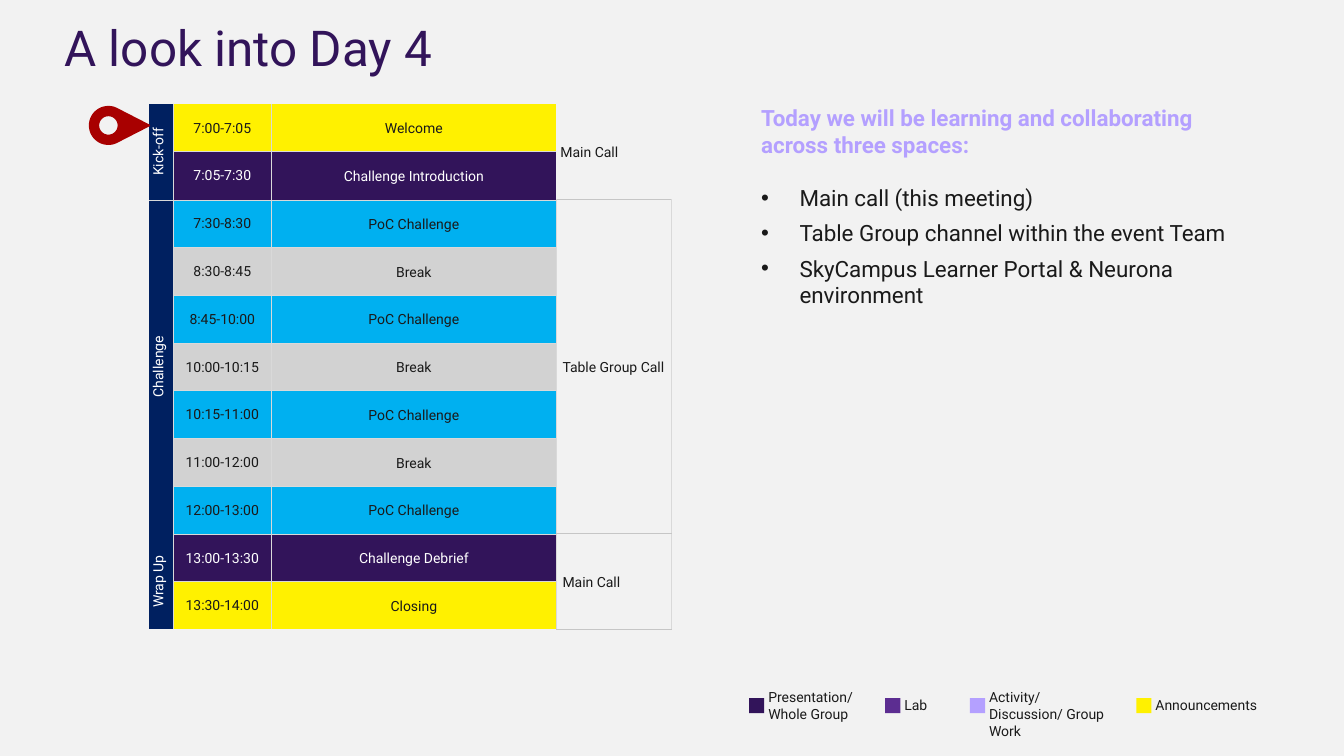
import math
from lxml import etree
from pptx import Presentation
from pptx import util as u
from pptx.dml.color import RGBColor
from pptx.enum import shapes, text
from pptx.oxml.ns import qn

COLORS = {"background": "F2F2F2", "purple": "32145A", "lab": "5C2D91", "lilac": "B4A0FF",
          "yellow": "FFF100", "navy": "002060", "blue": "00B0F0", "grey": "D2D2D2",
          "grid": "D9D9D9", "divider": "C6C6C6", "ink": "1A1A1A", "white": "FFFFFF",
          "red": "A80000"}
FONT = "Roboto"
NO_STYLE = "{2D5ABB26-0587-4C30-8999-92F81FD0307C}"

# time, session, fill, cell edges of the time and of the session
AGENDA = [
    ("7:00-7:05", "Welcome", "yellow", "LRB", "LB"),
    ("7:05-7:30", "Challenge Introduction", "purple", "LRTB", "LTB"),
    ("7:30-8:30", "PoC Challenge", "blue", "LRTB", "LRTB"),
    ("8:30-8:45", "Break", "grey", "LRTB", "LRTB"),
    ("8:45-10:00", "PoC Challenge", "blue", "LRTB", "LRTB"),
    ("10:00-10:15", "Break", "grey", "LRTB", "LRTB"),
    ("10:15-11:00", "PoC Challenge", "blue", "LRTB", "LRTB"),
    ("11:00-12:00", "Break", "grey", "LRTB", "LRTB"),
    ("12:00-13:00", "PoC Challenge", "blue", "LRTB", "LRTB"),
    ("13:00-13:30", "Challenge Debrief", "purple", "LRTB", "LRTB"),
    ("13:30-14:00", "Closing", "yellow", "LTR", "LTR"),
]
# first row, row count, phase, phase edges, call, call side edges, call dividers
PHASES = [
    (0, 2, "Kick-off", "RB", "Main Call", "", "B"),
    (2, 7, "Challenge", "TR", "Table Group Call", "LR", "TB"),
    (9, 2, "Wrap Up", "R", "Main Call", "LR", "TB"),
]
# marker left, label width, label lines, drawn line count, fill
LEGEND = [
    (0, 0.97, ["Presentation/", "Whole Group"], 2, "purple"),
    (1.35, 0.46, ["Lab"], 1, "lab"),
    (2.19, 1.26, ["Activity/ Discussion/ Group Work"], 2, "lilac"),
    (3.84, 1.16, ["Announcements"], 1, "yellow"),
]


def rgb(name):
    return RGBColor.from_string(COLORS[name])


def box(left, top, width, height):
    return [u.Inches(v) for v in (left, top, width, height)]


def add_run(p, words, size, color, bold=False):
    r = p.add_run()
    r.text = words
    r.font.name, r.font.size, r.font.bold = FONT, u.Pt(size), bold
    r.font.color.rgb = rgb(color)


def set_insets(frame, left, top, right, bottom):
    """Set the margins, in inches, of a text frame or table cell."""
    frame.margin_left, frame.margin_top = u.Inches(left), u.Inches(top)
    frame.margin_right, frame.margin_bottom = u.Inches(right), u.Inches(bottom)


def add_text_frame(slide, left, top, width, height):
    tf = slide.shapes.add_textbox(*box(left, top, width, height)).text_frame
    tf.word_wrap = True
    set_insets(tf, 0, 0, 0, 0)
    return tf


def place_title(slide, left, top, width, height):
    title = slide.shapes.title
    title.left, title.top, title.width, title.height = box(left, top, width, height)
    tf = title.text_frame
    tf.word_wrap = True
    tf.auto_size = text.MSO_AUTO_SIZE.NONE
    tf.vertical_anchor = text.MSO_ANCHOR.TOP
    set_insets(tf, 0.2, 0.16, 0.2, 0.16)
    p = tf.paragraphs[0]
    p.alignment, p.line_spacing = text.PP_ALIGN.LEFT, 0.9
    add_run(p, "A look into Day 4", 35.3, "purple")


def set_borders(cell, edges, dividers=""):
    tc_pr = cell._tc.get_or_add_tcPr()
    for side in "LRTB":
        color, width = ("divider", 1) if side in dividers else ("grid", 0.25)
        ln = etree.SubElement(tc_pr, qn("a:ln" + side), w=str(u.Pt(width)))
        if side in edges + dividers:
            fill = etree.SubElement(ln, qn("a:solidFill"))
            etree.SubElement(fill, qn("a:srgbClr"), val=COLORS[color])
        else:
            etree.SubElement(ln, qn("a:noFill"))


def fill_cell(cell, words, fill, ink, edges, insets, dividers="", centred=True):
    set_borders(cell, edges, dividers)
    cell.fill.solid()
    cell.fill.fore_color.rgb = rgb(fill)
    cell.vertical_anchor = text.MSO_ANCHOR.MIDDLE
    set_insets(cell, *insets)
    p = cell.text_frame.paragraphs[0]
    p.alignment = text.PP_ALIGN.CENTER if centred else text.PP_ALIGN.LEFT
    p.line_spacing = 1.07
    add_run(p, words, 10, ink)


def add_agenda(slide, left, top, width, height):
    frame = slide.shapes.add_table(len(AGENDA), 4, *box(left, top, width, height))
    table = frame.table
    table.first_row = table.horz_banding = False
    table._tbl.tblPr.find(qn("a:tableStyleId")).text = NO_STYLE
    for column, share in zip(table.columns, (0.24, 0.97, 2.83, 1.14)):
        column.width = u.Inches(share * width / 5.18)
    for row in table.rows:
        row.height = u.Inches(height / len(AGENDA))

    narrow, wide = (0.04, 0, 0.04, 0), (0.07, 0, 0.07, 0)
    regular = (0.06, 0.01, 0.06, 0)
    for i, (time, session, fill, time_edges, session_edges) in enumerate(AGENDA):
        ink = "white" if fill == "purple" else "ink"
        fill_cell(table.cell(i, 1), time, fill, ink, time_edges, wide)
        fill_cell(table.cell(i, 2), session, fill, ink, session_edges,
                  regular if i else narrow)
    for first, count, phase, phase_edges, call, call_edges, dividers in PHASES:
        for column in (0, 3):
            table.cell(first, column).merge(table.cell(first + count - 1, column))
        phase_cell, call_cell = table.cell(first, 0), table.cell(first, 3)
        fill_cell(phase_cell, phase, "navy", "white", phase_edges, wide)
        phase_cell._tc.tcPr.set("vert", "vert270")
        fill_cell(call_cell, call, "background", "ink", call_edges,
                  regular if first else narrow, dividers, centred=False)


def arc(cx, cy, radius, start, end, steps=48):
    """Points along a circle between two angles in degrees."""
    angles = [math.radians(start + (end - start) * i / steps) for i in range(steps + 1)]
    return [(u.Inches(cx + radius * math.cos(a)), u.Inches(cy + radius * math.sin(a)))
            for a in angles]


def add_pin(slide, left, top, width, height):
    """Draw a map pin with a round hole, its tip at the right of the box."""
    radius = height / 2
    cx, cy = left + radius, top + radius
    tip = (u.Inches(left + width), u.Inches(cy))
    outline = arc(cx, cy, radius, 66, 294) + [tip]
    hole = arc(cx, cy, 0.1, 360, 0)
    builder = slide.shapes.build_freeform(*outline[0])
    builder.add_line_segments(outline[1:], close=True)
    builder.move_to(*hole[0])
    builder.add_line_segments(hole[1:], close=True)
    sp = builder.convert_to_shape()
    sp.shadow.inherit = False
    sp.fill.solid()
    sp.fill.fore_color.rgb = sp.line.color.rgb = rgb("red")
    sp.line.width = u.Pt(1.25)


def add_spaces(slide, left, top, width, height):
    """Write the heading and the bullets on the three meeting spaces."""
    tf = add_text_frame(slide, left, top, width, height)
    add_run(tf.paragraphs[0], "Today we will be learning and collaborating across three spaces:",
            16, "lilac", bold=True)
    spaces = ["Main call (this meeting)", "Table Group channel within the event Team",
              "SkyCampus Learner Portal & Neurona environment"]
    for i, space in enumerate(spaces):
        p = tf.add_paragraph()
        p_pr = p._p.get_or_add_pPr()
        p_pr.set("marL", str(u.Inches(0.38)))
        p_pr.set("indent", str(-u.Inches(0.38)))
        etree.SubElement(p_pr, qn("a:buFont"), typeface="Arial")
        etree.SubElement(p_pr, qn("a:buChar"), char="•")
        p.space_before, p.space_after = u.Pt(0 if i else 19), u.Pt(6)
        add_run(p, space, 16, "ink")


def add_legend(slide, left, top, height):
    line, side = height / 2, 0.15
    middle = top + line
    for offset, label_width, lines, drawn, fill in LEGEND:
        x = left + offset
        sp = slide.shapes.add_shape(shapes.MSO_SHAPE.RECTANGLE,
                                    *box(x, middle - side / 2, side, side))
        sp.shadow.inherit = False
        sp.fill.solid()
        sp.fill.fore_color.rgb = rgb(fill)
        sp.line.fill.background()
        tf = add_text_frame(slide, x + 0.19, middle - drawn * line / 2,
                            label_width, drawn * line)
        for i, words in enumerate(lines):
            p = tf.add_paragraph() if i else tf.paragraphs[0]
            add_run(p, words, 10, "ink")


def main():
    prs = Presentation()
    prs.slide_width, prs.slide_height = u.Inches(13.33), u.Inches(7.5)
    s = prs.slides.add_slide(prs.slide_layouts[5])
    s.background.fill.solid()
    s.background.fill.fore_color.rgb = rgb("background")
    place_title(s, 0.44, 0.08, 4.52, 0.85)
    add_agenda(s, 1.48, 1.03, 5.18, 5.21)
    add_pin(s, 0.89, 1.06, 0.59, 0.37)
    add_spaces(s, 7.55, 1.03, 4.89, 2.05)
    add_legend(s, 7.43, 6.83, 0.34)
    prs.save("out.pptx")


if __name__ == "__main__":
    main()
